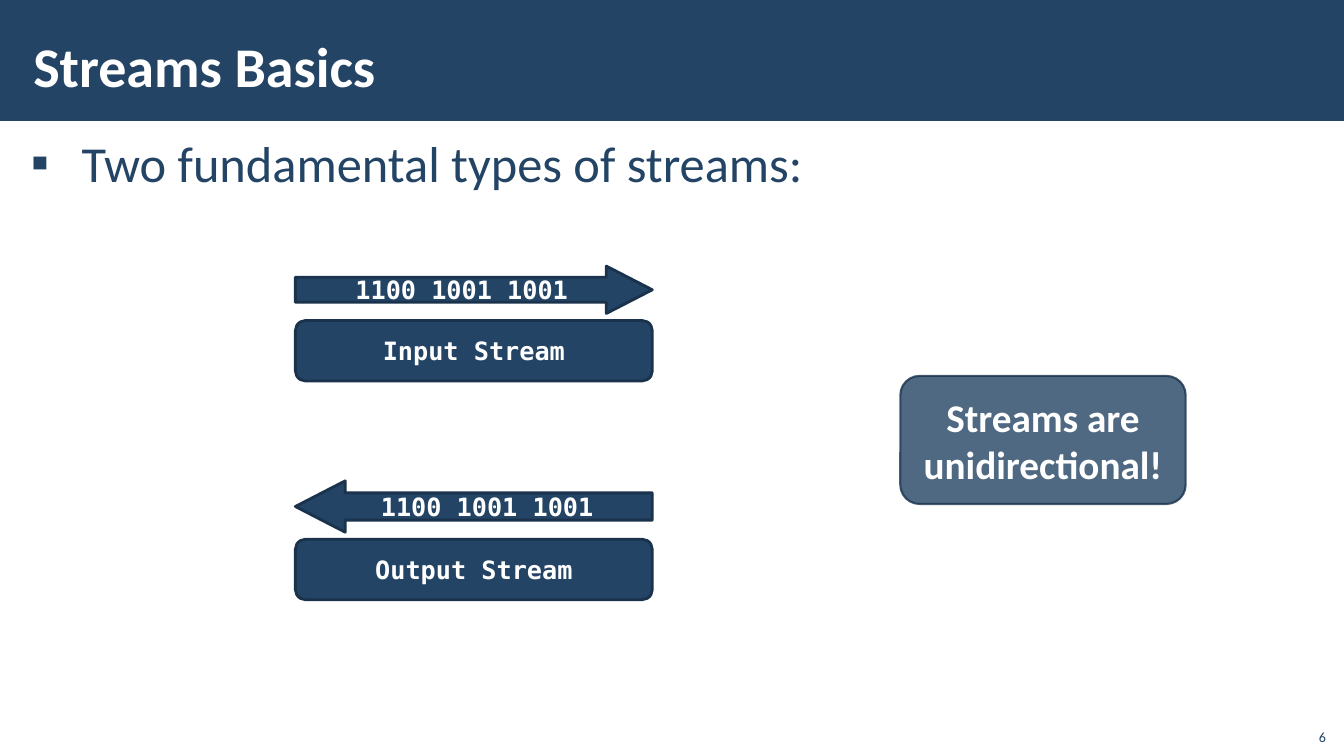
"""Build the Streams Basics slide."""
from dataclasses import dataclass

from lxml.etree import SubElement
from pptx import Presentation
from pptx.dml.color import RGBColor
from pptx.enum.shapes import MSO_SHAPE
from pptx.enum.text import MSO_ANCHOR, MSO_AUTO_SIZE, PP_ALIGN
from pptx.oxml.ns import qn
from pptx.util import Inches, Pt

NAVY = RGBColor(0x23, 0x44, 0x65)
EDGE = RGBColor(0x1A, 0x32, 0x4B)
WHITE = RGBColor(0xFF, 0xFF, 0xFF)
SANS = "Calibri"
MONO = "DejaVu Sans Mono"
STREAM_LEFT, STREAM_WIDTH = 2.93, 3.54
LABEL_HEIGHT, LABEL_GAP = 0.6, 0.07


@dataclass(frozen=True)
class Stream:
    label: str
    arrow: MSO_SHAPE
    top: float
    arrow_height: float


STREAMS = (
    Stream("Input Stream", MSO_SHAPE.RIGHT_ARROW, 2.64, 0.47),
    Stream("Output Stream", MSO_SHAPE.LEFT_ARROW, 4.77, 0.51),
)


def place(sp, left: float, top: float, width: float, height: float) -> None:
    sp.left, sp.top = Inches(left), Inches(top)
    sp.width, sp.height = Inches(width), Inches(height)


def write(sp, text: str, *, size: float, font: str = SANS, color: RGBColor = WHITE,
          bold: bool = False, align: PP_ALIGN = PP_ALIGN.CENTER,
          anchor: MSO_ANCHOR = MSO_ANCHOR.MIDDLE, inset: float = 0.1):
    tf = sp.text_frame
    tf.word_wrap = True
    tf.auto_size = MSO_AUTO_SIZE.NONE
    tf.vertical_anchor = anchor
    tf.margin_left = tf.margin_right = Inches(inset)
    tf.margin_top = tf.margin_bottom = Inches(0.05)
    p = tf.paragraphs[0]
    p.alignment = align
    p.space_before = Pt(0)
    r = p.add_run()
    r.text = text
    r.font.size, r.font.name, r.font.bold = Pt(size), font, bold
    r.font.color.rgb = color
    return p


def add_shape(s, kind: MSO_SHAPE, left: float, top: float, width: float,
              height: float, line: float = 0):
    sp = s.shapes.add_shape(kind, Inches(left), Inches(top), Inches(width), Inches(height))
    sp.shadow.inherit = False
    sp.fill.solid()
    sp.fill.fore_color.rgb = NAVY
    if line:
        sp.line.color.rgb = EDGE
        sp.line.width = Pt(line)
    else:
        sp.line.fill.background()
    return sp


def add_bullet(p, char: str, indent: float) -> None:
    pPr = p._p.get_or_add_pPr()
    pPr.set("marL", str(Inches(indent)))
    pPr.set("indent", str(-Inches(indent)))
    SubElement(pPr, qn("a:buFont"), typeface=SANS)
    SubElement(pPr, qn("a:buChar"), char=char)


def add_stream(s, stream: Stream) -> None:
    label_top = stream.top + stream.arrow_height + LABEL_GAP
    label = add_shape(s, MSO_SHAPE.ROUNDED_RECTANGLE, STREAM_LEFT, label_top,
                      STREAM_WIDTH, LABEL_HEIGHT, line=2)
    write(label, stream.label, size=18, font=MONO, bold=True)
    arrow = add_shape(s, stream.arrow, STREAM_LEFT, stream.top,
                      STREAM_WIDTH, stream.arrow_height, line=2)
    arrow.adjustments[0], arrow.adjustments[1] = 0.53, 0.97
    write(arrow, "1100 1001 1001", size=18, font=MONO, bold=True)


def add_callout(s) -> None:
    sp = add_shape(s, MSO_SHAPE.ROUNDED_RECTANGLE, 8.93, 3.73, 2.83, 1.27, line=1.5)
    sp.adjustments[0] = 0.15
    for color in sp.element.spPr.iter(qn("a:srgbClr")):
        SubElement(color, qn("a:alpha"), val="80000")
    write(sp, "Streams are unidirectional!", size=28, bold=True)


def main() -> None:
    prs = Presentation()
    prs.slide_width, prs.slide_height = Inches(13.33), Inches(7.5)
    s = prs.slides.add_slide(prs.slide_layouts[1])
    title, body = s.placeholders

    header = add_shape(s, MSO_SHAPE.RECTANGLE, 0, 0, 13.33, 1.2)
    title.element.addprevious(header.element)

    place(title, 0.21, 0.04, 10.47, 1.21)
    write(title, "Streams Basics", size=40, bold=True, align=PP_ALIGN.LEFT, inset=0.12)

    place(body, 0.21, 1.26, 12.91, 6.09)
    p = write(body, "Two fundamental types of streams:", size=36, color=NAVY,
              align=PP_ALIGN.LEFT, anchor=MSO_ANCHOR.TOP)
    add_bullet(p, "▪", 0.5)
    p.space_after = Pt(6)

    for stream in STREAMS:
        add_stream(s, stream)
    add_callout(s)

    number = s.shapes.add_textbox(Inches(12.85), Inches(7.12), Inches(0.4), Inches(0.32))
    write(number, "6", size=10, color=NAVY, align=PP_ALIGN.RIGHT, anchor=MSO_ANCHOR.BOTTOM)
    prs.save("out.pptx")


if __name__ == "__main__":
    main()
